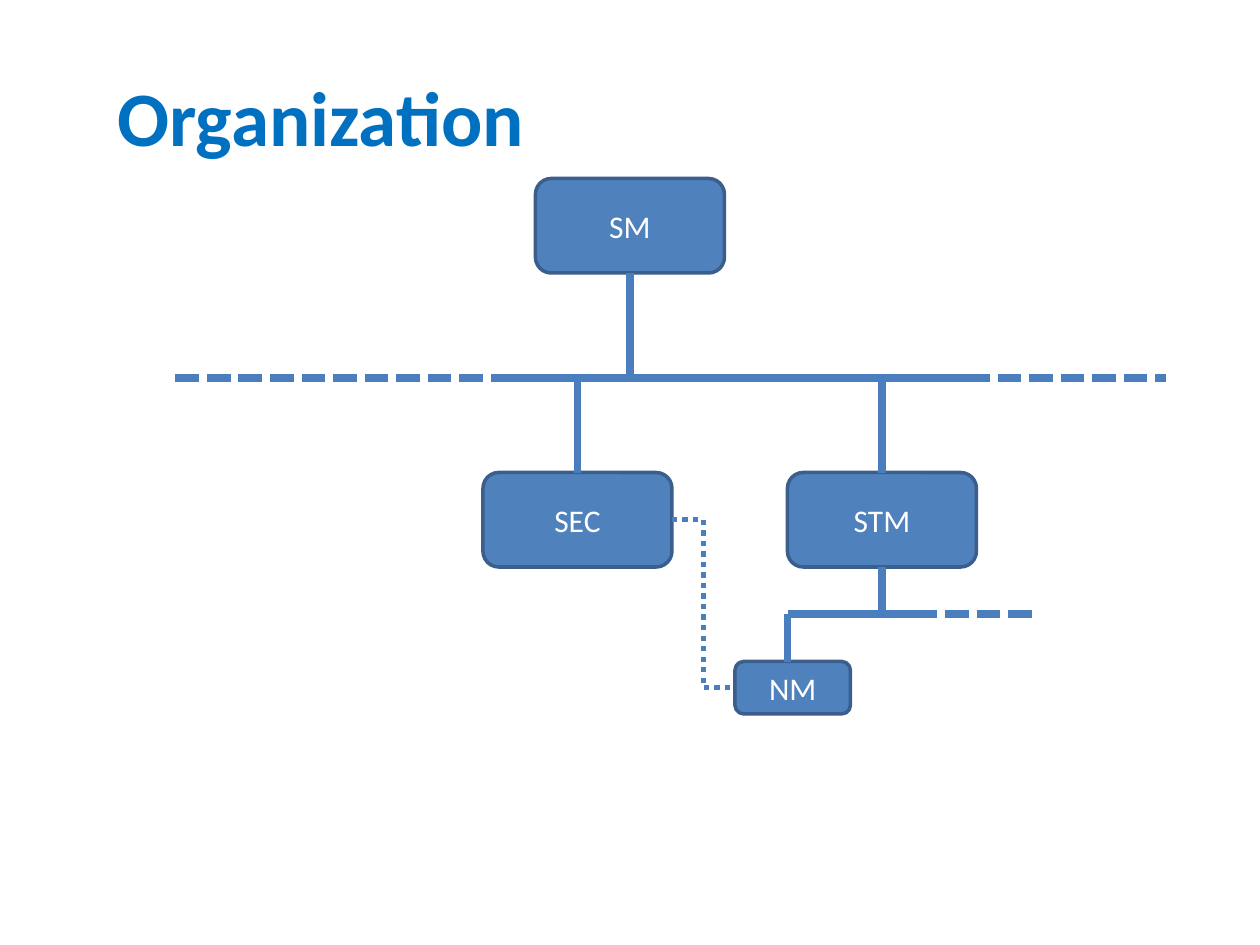
from typing import NamedTuple

from pptx import Presentation
from pptx.dml.color import RGBColor
from pptx.enum.shapes import MSO_CONNECTOR as Conn, MSO_SHAPE as Shape
from pptx.enum.text import MSO_ANCHOR as Anchor, PP_ALIGN as Align
from pptx.oxml.ns import qn
from pptx.util import Pt
from lxml.etree import SubElement

FONT = "Calibri"
TITLE, FILL, BORDER, LINK, WHITE = "0070C0", "4F81BD", "3A5F8C", "4B7EBC", "FFFFFF"


class Box(NamedTuple):
    label: str
    x: float
    y: float
    w: float = 108
    h: float = 54

    @property
    def cx(self) -> float:
        return self.x + self.w / 2

    @property
    def cy(self) -> float:
        return self.y + self.h / 2

    @property
    def right(self) -> float:
        return self.x + self.w

    @property
    def bottom(self) -> float:
        return self.y + self.h


class Link(NamedTuple):
    x1: float
    y1: float
    x2: float
    y2: float
    dash: str = "solid"
    width: float = 4.5
    kind: Conn = Conn.STRAIGHT


def color(value: str) -> RGBColor:
    return RGBColor.from_string(value)


def write(sp, text: str, *, size: float, fill: str, bold: bool = False,
          align: Align = Align.LEFT) -> None:
    tf = sp.text_frame
    tf.word_wrap = True
    tf.vertical_anchor = Anchor.MIDDLE
    p = tf.paragraphs[0]
    p.alignment = align
    r = p.add_run()
    r.text = text
    r.font.name, r.font.size, r.font.bold = FONT, Pt(size), bold
    r.font.color.rgb = color(fill)


def draw_box(s, box: Box) -> None:
    sp = s.shapes.add_shape(Shape.ROUNDED_RECTANGLE, Pt(box.x), Pt(box.y), Pt(box.w), Pt(box.h))
    sp.shadow.inherit = False
    sp.fill.solid()
    sp.fill.fore_color.rgb = color(FILL)
    sp.line.color.rgb = color(BORDER)
    sp.line.width = Pt(2)
    write(sp, box.label, size=18, fill=WHITE, align=Align.CENTER)


def draw_link(s, link: Link) -> None:
    c = s.shapes.add_connector(link.kind, Pt(link.x1), Pt(link.y1), Pt(link.x2), Pt(link.y2))
    c.line.color.rgb = color(LINK)
    c.line.width = Pt(link.width)
    SubElement(c.line._get_or_add_ln(), qn("a:prstDash"), val=link.dash)
    SubElement(c._element.spPr, qn("a:effectLst"))


prs = Presentation()
prs.slide_width, prs.slide_height = Pt(720), Pt(540)
s = prs.slides.add_slide(prs.slide_layouts[6])

# Title
title = s.shapes.add_textbox(Pt(60), Pt(21), Pt(636), Pt(90))
write(title, "Organization", size=44, fill=TITLE, bold=True)

# Boxes
sm = Box("SM", 306, 102)
sec = Box("SEC", 276, 270)
stm = Box("STM", 450, 270)
nm = Box("NM", 420, 378, 66, 30)
for box in (sm, sec, stm, nm):
    draw_box(s, box)

# Links: two horizontal rails, their drops, and the dotted side link
RAIL, SUB_RAIL = 216, 351
links = [
    Link(294, RAIL, 96, RAIL, "sysDash"),
    Link(294, RAIL, 552, RAIL),
    Link(552, RAIL, 666, RAIL, "sysDash"),
    Link(sm.cx, sm.bottom, sm.cx, RAIL),
    Link(sec.cx, RAIL, sec.cx, sec.y),
    Link(stm.cx, RAIL, stm.cx, stm.y),
    Link(stm.cx, stm.bottom, stm.cx, SUB_RAIL),
    Link(stm.x, SUB_RAIL, 522, SUB_RAIL),
    Link(522, SUB_RAIL, 594, SUB_RAIL, "sysDash"),
    Link(stm.x, SUB_RAIL, stm.x, nm.y),
    Link(sec.right, sec.cy, nm.x, nm.cy, "sysDot", 3, Conn.ELBOW),
]
for link in links:
    draw_link(s, link)

prs.save("out.pptx")
